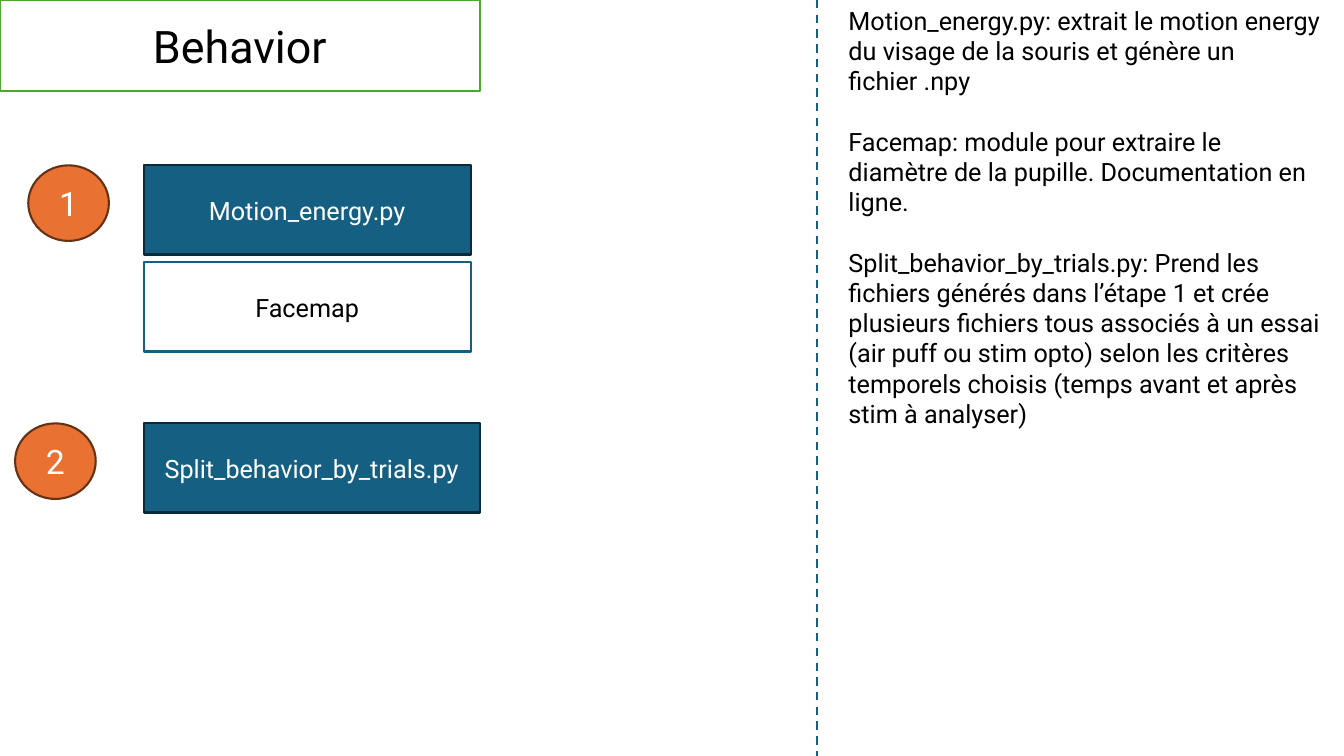
"""Build the Behavior pipeline slide: numbered script steps and their descriptions."""
from pptx import Presentation
from pptx.dml.color import RGBColor
from pptx.enum.dml import MSO_LINE
from pptx.enum.shapes import MSO_CONNECTOR, MSO_SHAPE
from pptx.enum.text import MSO_ANCHOR, MSO_AUTO_SIZE, PP_ALIGN
from pptx.oxml.ns import qn
from pptx.util import Pt
from lxml.etree import SubElement

FONT = "Roboto"
WHITE = RGBColor(0xFF, 0xFF, 0xFF)
BLACK = RGBColor(0x00, 0x00, 0x00)
GREEN = RGBColor(0x4E, 0xA7, 0x2E)
BLUE = RGBColor(0x15, 0x60, 0x82)
NAVY = RGBColor(0x09, 0x2A, 0x39)
ORANGE = RGBColor(0xE9, 0x71, 0x32)
BROWN = RGBColor(0x66, 0x32, 0x16)

TITLE = "Behavior"
STEPS = [
    {"number": "1", "top": 118.1, "badge_left": 20.2, "width": 233.6,
     "boxes": [("Motion_energy.py", BLUE, NAVY, WHITE), ("Facemap", WHITE, BLUE, BLACK)]},
    {"number": "2", "top": 302.4, "badge_left": 10.8, "width": 240,
     "boxes": [("Split_behavior_by_trials.py", BLUE, NAVY, WHITE)]},
]
DESCRIPTIONS = [
    "Motion_energy.py: extrait le motion energy du visage de la souris et génère un fichier .npy",
    "Facemap: module pour extraire le diamètre de la pupille. Documentation en ligne.",
    "Split_behavior_by_trials.py: Prend les fichiers générés dans l’étape 1 et crée plusieurs "
    "fichiers tous associés à un essai (air puff ou stim opto) selon les critères temporels "
    "choisis (temps avant et après stim à analyser)",
]

SLIDE_W, SLIDE_H = 960, 540
BOX_LEFT, BOX_H, BOX_PITCH = 102.6, 63.7, 69.3
BADGE_W, BADGE_H = 57.6, 54
DIVIDER_X = 583.7
LINE_H = 21.6


def style_run(p, size, color):
    f = p.runs[0].font
    f.name, f.size, f.color.rgb = FONT, Pt(size), color


def add_label(s, kind, left, top, width, height, text, size, fill, line, color):
    sp = s.shapes.add_shape(kind, Pt(left), Pt(top), Pt(width), Pt(height))
    sp.shadow.inherit = False
    sp.fill.solid()
    sp.fill.fore_color.rgb = fill
    sp.line.color.rgb = line
    sp.line.width = Pt(1.5)
    tf = sp.text_frame
    tf.text = text
    tf.word_wrap = True
    tf.vertical_anchor = MSO_ANCHOR.MIDDLE
    p = tf.paragraphs[0]
    p.alignment = PP_ALIGN.CENTER
    style_run(p, size, color)


def add_divider(s):
    line = s.shapes.add_connector(MSO_CONNECTOR.STRAIGHT, Pt(DIVIDER_X), Pt(0),
                                  Pt(DIVIDER_X), Pt(SLIDE_H))
    line.line.color.rgb = BLUE
    line.line.width = Pt(1.5)
    line.line.dash_style = MSO_LINE.DASH
    SubElement(line._element.spPr, qn("a:effectLst"))


def add_descriptions(s):
    tf = s.shapes.add_textbox(Pt(599), Pt(0), Pt(353.5), Pt(356.4)).text_frame
    tf.word_wrap = True
    tf.auto_size = MSO_AUTO_SIZE.SHAPE_TO_FIT_TEXT
    for i, text in enumerate(DESCRIPTIONS):
        p = tf.add_paragraph() if i else tf.paragraphs[0]
        p.text = text
        p.space_before = Pt(LINE_H if i else 0)
        style_run(p, 18, BLACK)


def main():
    prs = Presentation()
    prs.slide_width, prs.slide_height = Pt(SLIDE_W), Pt(SLIDE_H)
    s = prs.slides.add_slide(prs.slide_layouts[6])
    add_label(s, MSO_SHAPE.RECTANGLE, 0, 0, 342.7, 64.8, TITLE, 32, WHITE, GREEN, BLACK)
    for step in STEPS:
        add_label(s, MSO_SHAPE.OVAL, step["badge_left"], step["top"], BADGE_W, BADGE_H,
                  step["number"], 24, ORANGE, BROWN, WHITE)
        for i, (text, fill, line, color) in enumerate(step["boxes"]):
            add_label(s, MSO_SHAPE.RECTANGLE, BOX_LEFT, step["top"] + i * BOX_PITCH,
                      step["width"], BOX_H, text, 18, fill, line, color)
    add_divider(s)
    add_descriptions(s)
    prs.save("out.pptx")


if __name__ == "__main__":
    main()
